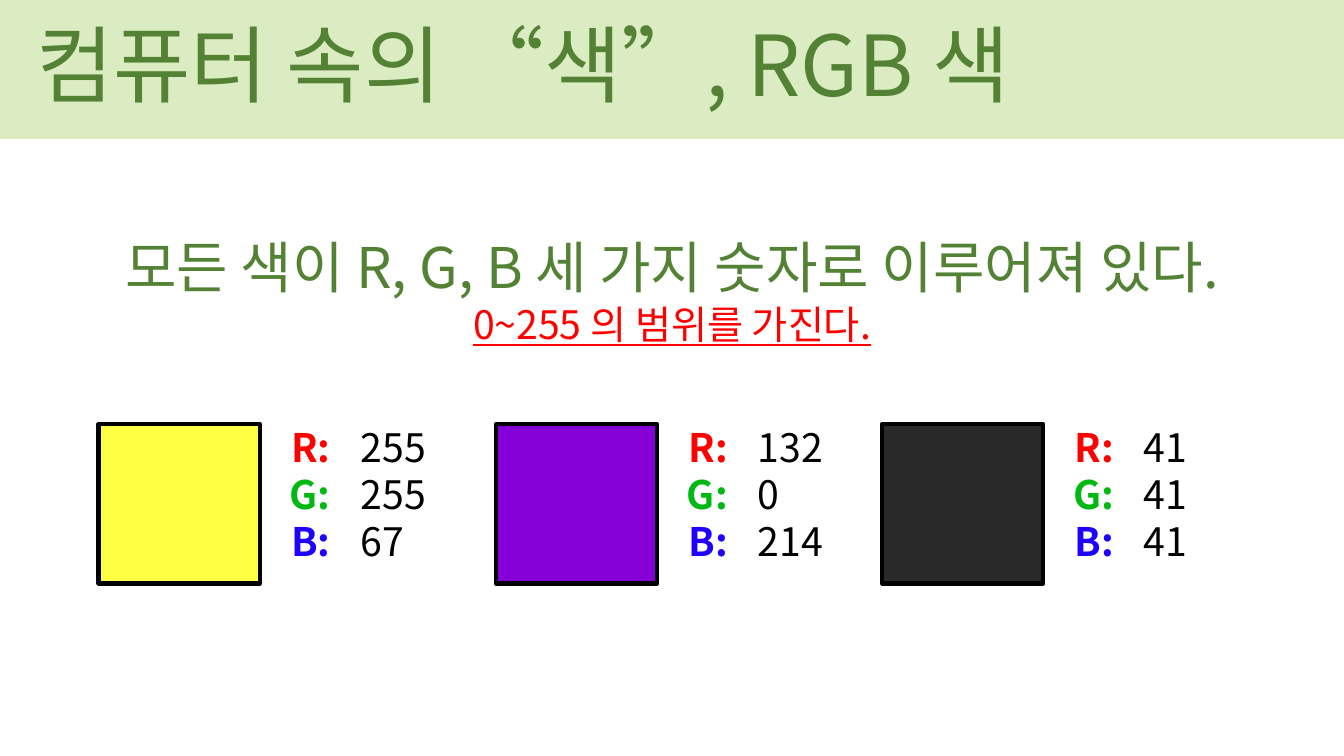
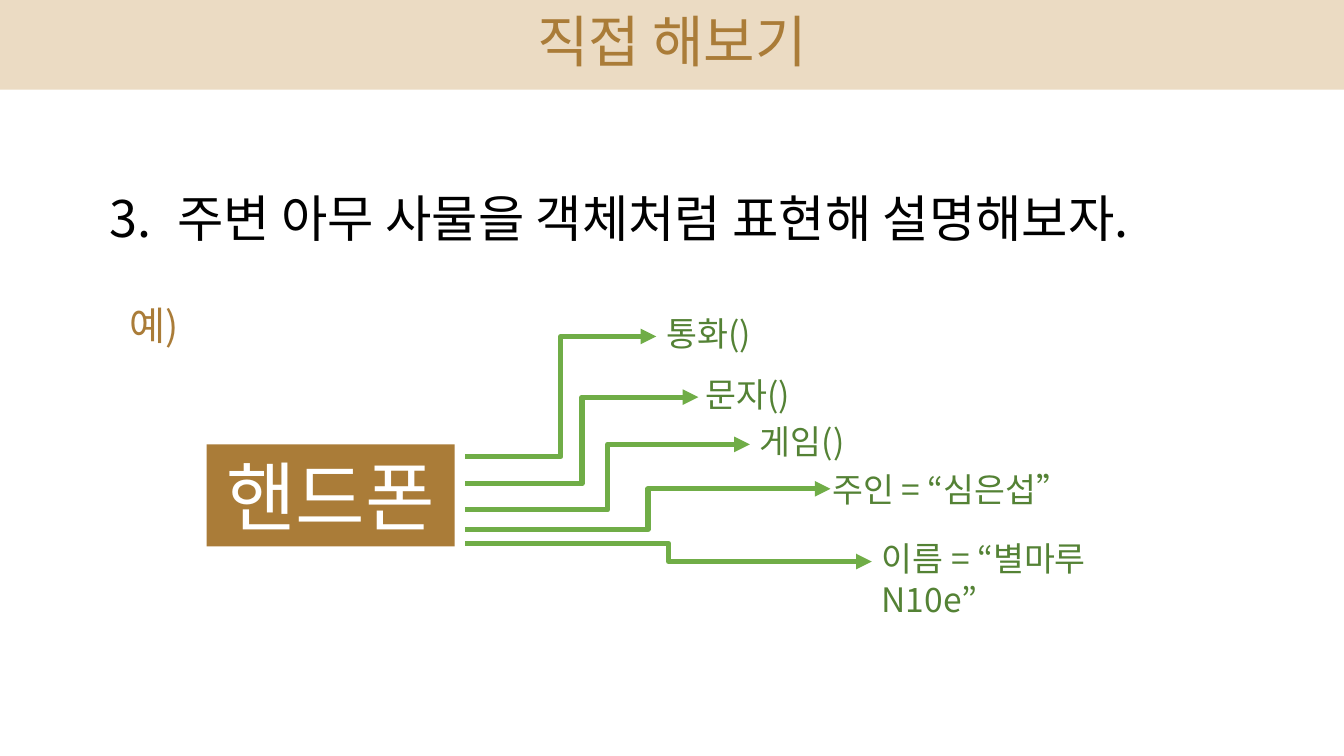
from pptx import Presentation
from pptx.dml.color import RGBColor
from pptx.enum.dml import MSO_FILL
from pptx.enum.shapes import MSO_CONNECTOR, MSO_SHAPE
from pptx.enum.text import MSO_AUTO_SIZE, PP_ALIGN
from pptx.oxml.ns import qn
from pptx.util import Cm, Pt
from lxml import etree

RECT, ELBOW = MSO_SHAPE.RECTANGLE, MSO_CONNECTOR.ELBOW
GROW = MSO_AUTO_SIZE.SHAPE_TO_FIT_TEXT
LEFT, CENTER, RIGHT, JUSTIFY = (PP_ALIGN.LEFT, PP_ALIGN.CENTER,
                                PP_ALIGN.RIGHT, PP_ALIGN.JUSTIFY)


class Theme:
    font = "Noto Sans CJK KR"
    leading = 1.2
    # Colours
    black, white = "000000", "FFFFFF"
    green, pale_green, arrow = "548235", "DCECC2", "70AD47"
    brown, pale_brown = "AA7C38", "EBDBC3"
    red, lime, blue = "FF0000", "00B812", "1F01FF"
    # Type sizes
    hero, object_name, heading, task, body, label = 60, 54, 40, 36, 28, 24
    # Line widths
    border, stroke = 3.25, 3.75


def add_rect(s, x, y, w, h, fill, border=None):
    sp = s.shapes.add_shape(RECT, Cm(x), Cm(y), Cm(w), Cm(h))
    sp.shadow.inherit = False
    sp.fill.solid()
    sp.fill.fore_color.rgb = RGBColor.from_string(fill)
    if border:
        sp.line.color.rgb = RGBColor.from_string(border)
        sp.line.width = Pt(Theme.border)
    else:
        sp.line.fill.background()
    return sp


def add_text(sp, lines, align=LEFT, bold=False):
    """Fill a shape with one paragraph per (text, size, colour, underline)."""
    tf = sp.text_frame
    tf.word_wrap = True
    tf.auto_size = GROW
    for i, (text, size, color, *underline) in enumerate(lines):
        p = tf.add_paragraph() if i else tf.paragraphs[0]
        p.alignment = align
        p.line_spacing = Pt(size * Theme.leading)
        r = p.add_run()
        r.text = text
        r.font.name = Theme.font
        r.font.size = Pt(size)
        r.font.bold = bold
        r.font.underline = bool(underline)
        r.font.color.rgb = RGBColor.from_string(color)
        ea = etree.SubElement(r.font._element, qn("a:ea"))
        ea.set("typeface", Theme.font)


prs = Presentation()
prs.slide_width, prs.slide_height = Cm(33.87), Cm(19.05)
SLIDE_W = 33.87

# Slides with their title bands
headers = [
    # title, size, colour, band colour, band height, text box, alignment
    ("컴퓨터 속의 “색”, RGB 색", Theme.hero, Theme.green, Theme.pale_green,
     3.5, (0.66, 0.2, 30.86, 2.82), LEFT),
    ("직접 해보기", Theme.heading, Theme.brown, Theme.pale_brown,
     2.26, (0, 0.05, SLIDE_W, 1.96), CENTER),
]
slides = []
for title, size, color, band, band_h, box, align in headers:
    s = prs.slides.add_slide(prs.slide_layouts[6])
    add_rect(s, 0, 0, SLIDE_W, band_h, band)
    sp = s.shapes.add_textbox(*map(Cm, box))
    add_text(sp, [(title, size, color)], align)
    slides.append(s)
rgb_slide, object_slide = slides

# RGB slide: statement
sp = rgb_slide.shapes.add_textbox(Cm(0), Cm(5.74), Cm(SLIDE_W), Cm(3.18))
add_text(sp, [
    ("모든 색이 R, G, B 세 가지 숫자로 이루어져 있다.", Theme.heading, Theme.green),
    ("0~255 의 범위를 가진다.", Theme.body, Theme.red, True),
], CENTER)

# RGB slide: swatches with their channel values
channels = [("R:", Theme.body, Theme.red), ("G:", Theme.body, Theme.lime),
            ("B:", Theme.body, Theme.blue)]
swatch_w, swatch_h, swatch_y, values_y = 4.06, 4.01, 10.69, 10.54
for x, rgb in [(2.49, (255, 255, 67)), (12.5, (132, 0, 214)),
               (22.23, (41, 41, 41))]:
    add_rect(rgb_slide, x, swatch_y, swatch_w, swatch_h,
             str(RGBColor(*rgb)), Theme.black)
    sp = rgb_slide.shapes.add_textbox(Cm(x + swatch_w), Cm(values_y),
                                      Cm(2.03), Cm(3.84))
    add_text(sp, channels, RIGHT, bold=True)
    sp = rgb_slide.shapes.add_textbox(Cm(x + swatch_w + 2.29), Cm(values_y),
                                      Cm(3.4), Cm(3.84))
    add_text(sp, [(str(v), Theme.body, Theme.black) for v in rgb])

# Object slide: task and example heading
for text, size, color, x, y, w, h, align in [
    ("3.", Theme.task, Theme.black, 2.51, 4.6, 9.45, 1.8, LEFT),
    ("주변 아무 사물을 객체처럼 표현해 설명해보자.", Theme.task, Theme.black,
     4.22, 4.6, 29.36, 1.8, JUSTIFY),
    ("예)", Theme.body, Theme.brown, 3.02, 7.47, 29.36, 1.45, JUSTIFY),
]:
    sp = object_slide.shapes.add_textbox(Cm(x), Cm(y), Cm(w), Cm(h))
    add_text(sp, [(text, size, color)], align)

# Object slide: the object
sp = add_rect(object_slide, 5.21, 11.2, 6.25, 2.57, Theme.brown)
add_text(sp, [("핸드폰", Theme.object_name, Theme.white)], CENTER)

# Object slide: arrows to its methods and attributes
arrow_x = 11.73
for text, y1, x2, y2, x, y, w in [
    ("통화()", 11.51, 16.54, 8.48, 16.54, 7.75, 6.17),
    ("문자()", 12.19, 17.6, 10.01, 17.53, 9.3, 6.17),
    ("게임()", 12.85, 18.9, 11.2, 18.9, 10.49, 6.17),
    ("주인 = “심은섭”", 13.34, 20.93, 12.32, 20.73, 11.68, 8.1),
    ("이름 = “별마루 N10e”", 13.69, 21.97, 14.15, 21.97, 13.44, 8.1),
]:
    c = object_slide.shapes.add_connector(ELBOW, Cm(arrow_x), Cm(y1),
                                          Cm(x2), Cm(y2))
    c.line.color.rgb = RGBColor.from_string(Theme.arrow)
    c.line.width = Pt(Theme.stroke)
    tail = etree.SubElement(c.line._get_or_add_ln(), qn("a:tailEnd"))
    tail.set("type", "triangle")
    etree.SubElement(c._element.spPr, qn("a:effectLst"))
    sp = object_slide.shapes.add_textbox(Cm(x), Cm(y), Cm(w), Cm(1.27))
    add_text(sp, [(text, Theme.label, Theme.green)])

prs.save("out.pptx")
